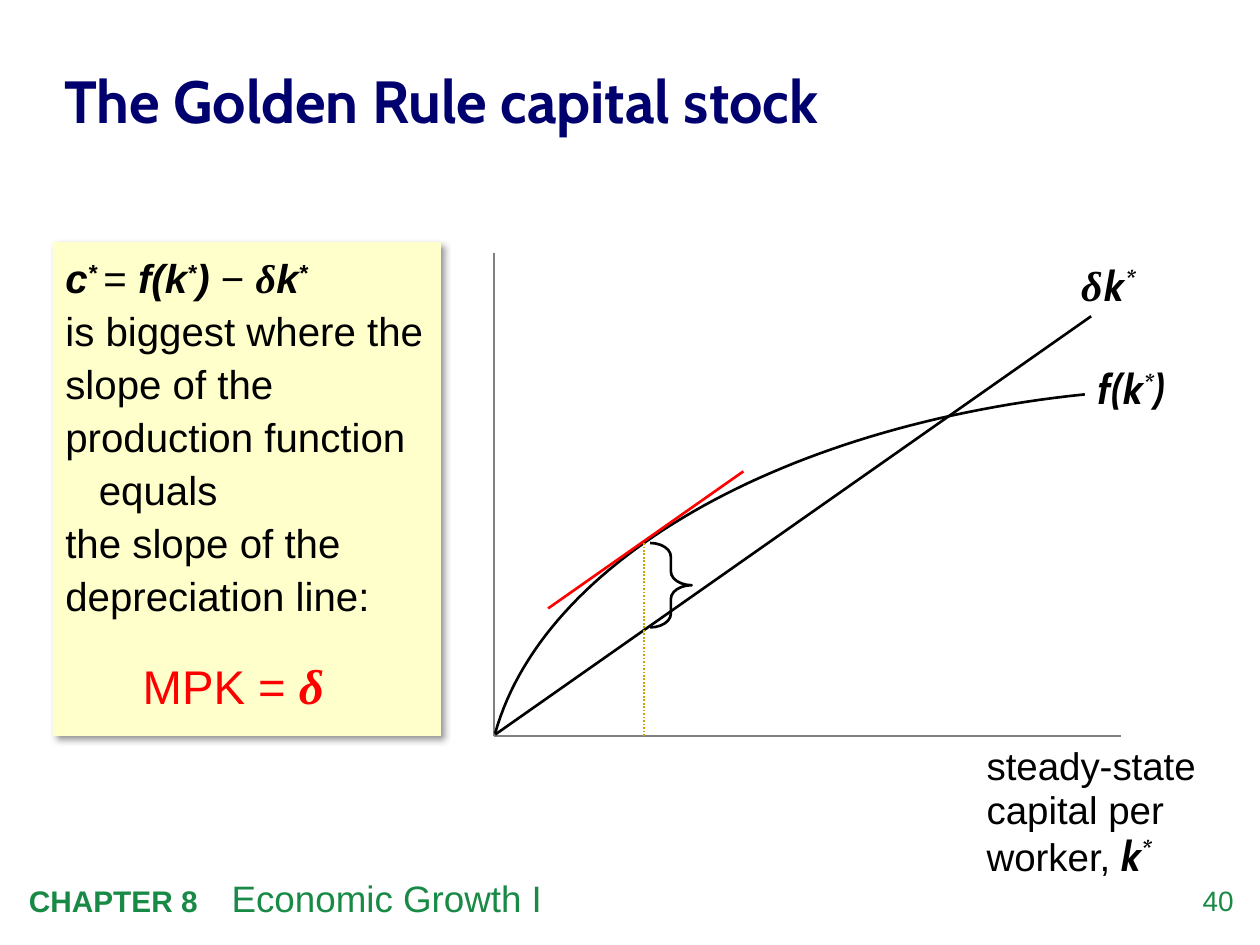
from dataclasses import dataclass
from typing import NamedTuple

import pptx
import pptx.dml.color
import pptx.enum.shapes
import pptx.enum.text
import pptx.oxml
import pptx.oxml.ns
import pptx.util

ALIGN = pptx.enum.text.PP_ALIGN
ANCHOR = pptx.enum.text.MSO_ANCHOR
SHAPE = pptx.enum.shapes.MSO_SHAPE
NAMESPACE = pptx.oxml.ns.nsdecls("a")

# The slide is a grid of 100 columns by 75 rows
COLUMNS, ROWS = 100, 75
CELL = pptx.util.Inches(0.1)


@dataclass(frozen=True)
class Theme:
    sans: str = "Arial"
    display: str = "Cabin"
    serif: str = "Times New Roman"
    black: str = "000000"
    white: str = "FFFFFF"
    navy: str = "00006E"
    green: str = "198A46"
    red: str = "FF0000"
    gold: str = "CDA601"
    gray: str = "808080"
    cream: str = "FFFFCC"
    title: float = 34
    body: float = 23
    result: float = 27
    result_symbol: float = 28
    label: float = 24
    label_gap: float = 6
    axis: float = 22
    chapter: float = 17
    topic: float = 21
    number: float = 16
    thin: float = 1
    thick: float = 1.5


THEME = Theme()


class Frame(NamedTuple):
    column: float
    row: float
    columns: float
    rows: float


class Point(NamedTuple):
    column: float
    row: float


class Run(NamedTuple):
    text: str
    size: float
    font: str = THEME.sans
    color: str = THEME.black
    bold: bool = False
    italic: bool = False
    raised: bool = False


class Line(NamedTuple):
    start: Point
    end: Point
    color: str
    width: float
    dash: str = ""


def grid(cells: float) -> int:
    return round(cells * CELL)


def rgb(color: str):
    return pptx.dml.color.RGBColor.from_string(color)


def math_run(text: str, size: float, font: str, raised: bool = False) -> Run:
    return Run(text, size, font, bold=True, italic=True, raised=raised)


def place(shape, frame: Frame) -> None:
    shape.left, shape.top, shape.width, shape.height = map(grid, frame)


def add_runs(paragraph, runs: list[Run]) -> None:
    for item in runs:
        for index, part in enumerate(item.text.split("\n")):
            if index:
                paragraph.add_line_break()
            run = paragraph.add_run()
            run.text = part
            font = run.font
            font.name, font.size = item.font, pptx.util.Pt(item.size)
            font.bold, font.italic = item.bold, item.italic
            font.color.rgb = rgb(item.color)
            if item.raised:
                run._r.get_or_add_rPr().set("baseline", "30000")


def write(shape, paragraphs: list[list[Run]], align=ALIGN.LEFT, anchor=ANCHOR.TOP,
          spacing: float = 1.0, padded: bool = False) -> None:
    text_frame = shape.text_frame
    text_frame.word_wrap = True
    text_frame.vertical_anchor = anchor
    if not padded:
        text_frame.margin_left = text_frame.margin_right = 0
        text_frame.margin_top = text_frame.margin_bottom = 0
    for index, runs in enumerate(paragraphs):
        paragraph = text_frame.add_paragraph() if index else text_frame.paragraphs[0]
        paragraph.alignment, paragraph.line_spacing = align, spacing
        paragraph.space_before = pptx.util.Pt(0)
        add_runs(paragraph, runs)


def add_text(slide, frame: Frame, runs: list[Run], **layout):
    box = slide.shapes.add_textbox(*map(grid, frame))
    write(box, [runs], **layout)
    return box


def add_panel(slide, frame: Frame, color: str):
    panel = slide.shapes.add_shape(SHAPE.RECTANGLE, *map(grid, frame))
    panel.shadow.inherit = False
    panel.fill.solid()
    panel.fill.fore_color.rgb = rgb(color)
    panel.line.fill.background()
    return panel


def stroke(shape, color: str, width: float) -> None:
    shape.line.color.rgb = rgb(color)
    shape.line.width = pptx.util.Pt(width)


def add_line(slide, line: Line) -> None:
    connector = slide.shapes.add_connector(
        pptx.enum.shapes.MSO_CONNECTOR.STRAIGHT, *map(grid, line.start + line.end))
    stroke(connector, line.color, line.width)
    properties = connector._element.spPr
    if line.dash:
        properties.get_or_add_ln().append(
            pptx.oxml.parse_xml(f'<a:prstDash {NAMESPACE} val="{line.dash}"/>'))
    properties.append(pptx.oxml.parse_xml(f"<a:effectLst {NAMESPACE}/>"))


def add_curve(slide, controls: list[Point], steps: int = 60) -> None:
    """Draw a cubic Bezier curve as a fine open outline."""
    points = []
    for step in range(steps + 1):
        t = step / steps
        weights = ((1 - t) ** 3, 3 * t * (1 - t) ** 2, 3 * t ** 2 * (1 - t), t ** 3)
        points.append(tuple(grid(sum(w * value for w, value in zip(weights, axis)))
                            for axis in zip(*controls)))
    builder = slide.shapes.build_freeform(*points[0])
    builder.add_line_segments(points[1:], close=False)
    curve = builder.convert_to_shape()
    curve.shadow.inherit = False
    curve.fill.background()
    stroke(curve, THEME.black, THEME.thick)


def add_explanation(slide) -> None:
    panel = add_panel(slide, Frame(4.2, 19.2, 30.8, 39.2), THEME.cream)
    panel._element.spPr.find(pptx.oxml.ns.qn("a:effectLst")).append(pptx.oxml.parse_xml(
        f'<a:outerShdw {NAMESPACE} blurRad="50800" dist="38100" dir="2700000" algn="tl" '
        f'rotWithShape="0"><a:srgbClr val="{THEME.black}"><a:alpha val="40000"/>'
        "</a:srgbClr></a:outerShdw>"))
    size, sans = THEME.body, THEME.sans
    formula = [math_run("c", size, sans), math_run("* ", size, sans, True), Run("= ", size),
               math_run("f(k", size, sans), math_run("*", size, sans, True),
               math_run(") ", size, sans), Run("− ", size),
               math_run("δ", size, THEME.serif), math_run("k", size, sans),
               math_run("*", size, sans, True)]
    sentences = ["is biggest where the slope of the production function", "equals",
                 "the slope of the depreciation line:"]
    write(panel, [formula] + [[Run(text, size)] for text in sentences],
          spacing=1.1, padded=True)
    equals = panel.text_frame.paragraphs[2]
    equals._p.get_or_add_pPr().set("marL", str(grid(2.66)))


def add_footer(slide) -> None:
    add_text(slide, Frame(92.4, 70.1, 5.5, 3.2),
             [Run("40", THEME.number, color=THEME.green)], align=ALIGN.RIGHT)
    footer = add_text(slide, Frame(1.3, 69, 81.8, 4.5), [
        Run("CHAPTER 8\t", THEME.chapter, color=THEME.green, bold=True),
        Run("Economic Growth I", THEME.topic, color=THEME.green)], padded=True)
    footer.text_frame.paragraphs[0]._p.get_or_add_pPr().append(pptx.oxml.parse_xml(
        f'<a:tabLst {NAMESPACE}><a:tab pos="{grid(16.1)}" algn="l"/></a:tabLst>'))


def add_graph(slide) -> None:
    # Axes
    corner = Point(39.2, 58.4)
    for end in (Point(39.2, 20.1), Point(89, 58.4)):
        add_line(slide, Line(corner, end, THEME.gray, THEME.thin))
    size, font = THEME.label, THEME.display
    star = math_run("*", size, font, True)
    caption = add_panel(slide, Frame(78.3, 59.2, 17.5, 10.7), THEME.white)
    caption.fill._xPr.find(pptx.oxml.ns.qn("a:solidFill"))[0].append(
        pptx.oxml.parse_xml(f'<a:alpha {NAMESPACE} val="50000"/>'))
    write(caption, [[Run("steady-state capital per \nworker, ", THEME.axis),
                     math_run("k", size, font), star]], anchor=ANCHOR.MIDDLE, spacing=0.95)

    # Production function, depreciation line and the tangent parallel to it
    add_curve(slide, [Point(86.1, 31.3), Point(61.9, 33.8), Point(43.1, 44.6),
                      Point(39.3, 58.2)])
    origin, top = Point(39.3, 58.3), Point(86.6, 25.1)
    add_line(slide, Line(origin, top, THEME.black, THEME.thick))
    slope = (top.row - origin.row) / (top.column - origin.column)
    middle, reach = Point(51.25, 42.85), 7.75
    left, right = (Point(middle.column + run, middle.row + run * slope)
                   for run in (-reach, reach))
    add_line(slide, Line(left, right, THEME.red, THEME.thick))

    # Golden Rule level and consumption brace
    add_line(slide, Line(Point(51.1, 43.1), Point(51.1, 58.4), THEME.gold, THEME.thin,
                         "sysDot"))
    brace = slide.shapes.add_shape(SHAPE.RIGHT_BRACE, *map(grid, Frame(51.6, 43.1, 3.3, 6.7)))
    brace.shadow.inherit = False
    brace.fill.background()
    brace.adjustments[0], brace.adjustments[1] = 0.33, 0.5
    stroke(brace, THEME.black, THEME.thick)

    # Curve labels
    add_text(slide, Frame(87.1, 28.8, 10.4, 4),
             [math_run("f(k", size, font), star, math_run(")", size, font)],
             anchor=ANCHOR.MIDDLE)
    add_text(slide, Frame(85.8, 20.6, 5.9, 4),
             [math_run("δ", size, THEME.serif), Run(" ", THEME.label_gap, font),
              math_run("k", size, font), star], anchor=ANCHOR.MIDDLE)


def main() -> None:
    presentation = pptx.Presentation()
    presentation.slide_width, presentation.slide_height = grid(COLUMNS), grid(ROWS)
    slide = presentation.slides.add_slide(presentation.slide_layouts.get_by_name("Title Only"))
    title = slide.shapes.title
    place(title, Frame(5.1, 2.6, 90.2, 10.3))
    write(title, [[Run("The Golden Rule capital stock", THEME.title, THEME.display,
                       THEME.navy, bold=True)]], anchor=ANCHOR.MIDDLE, spacing=1.05)
    add_footer(slide)
    add_explanation(slide)
    add_graph(slide)
    # Golden Rule condition
    add_text(slide, Frame(9.4, 51.3, 19.2, 5.9), [
        Run("MPK = ", THEME.result, color=THEME.red),
        Run("δ ", THEME.result_symbol, THEME.serif, THEME.red, bold=True, italic=True)],
        align=ALIGN.CENTER, spacing=1.05, padded=True)
    presentation.save("out.pptx")


if __name__ == "__main__":
    main()
